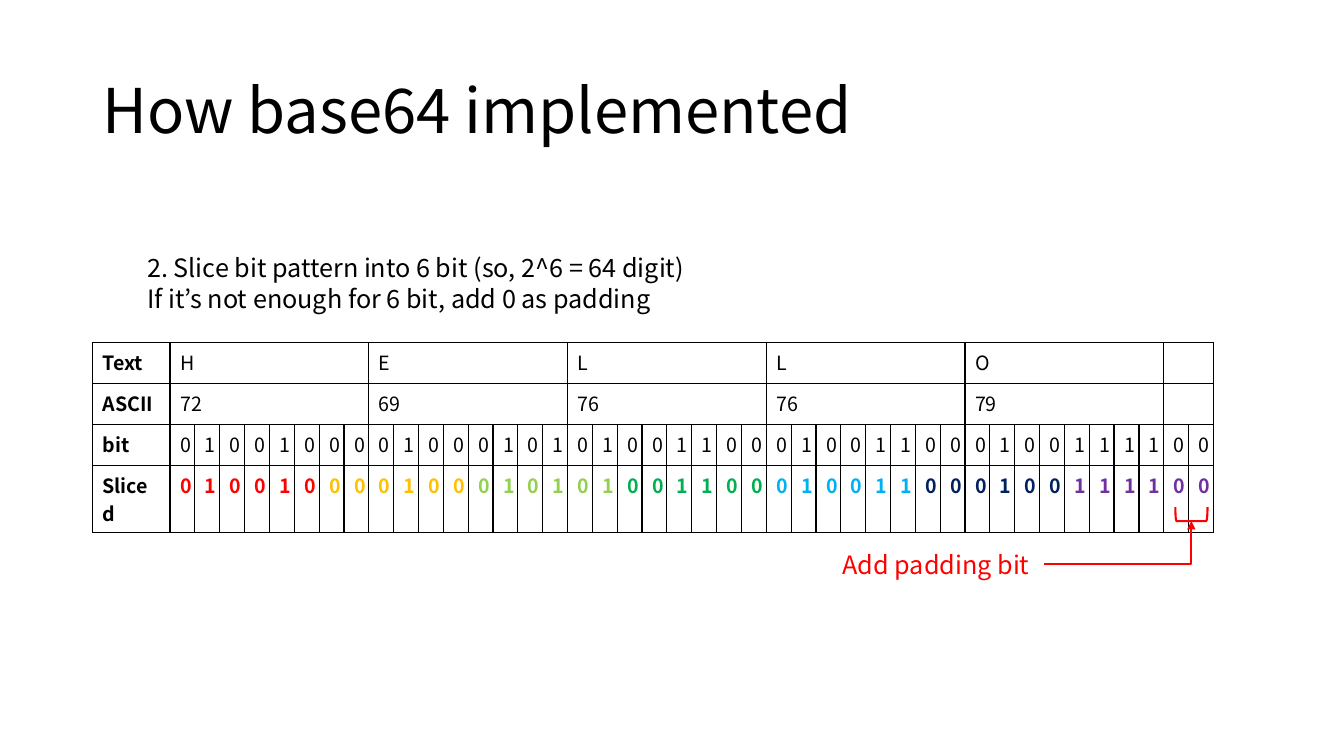
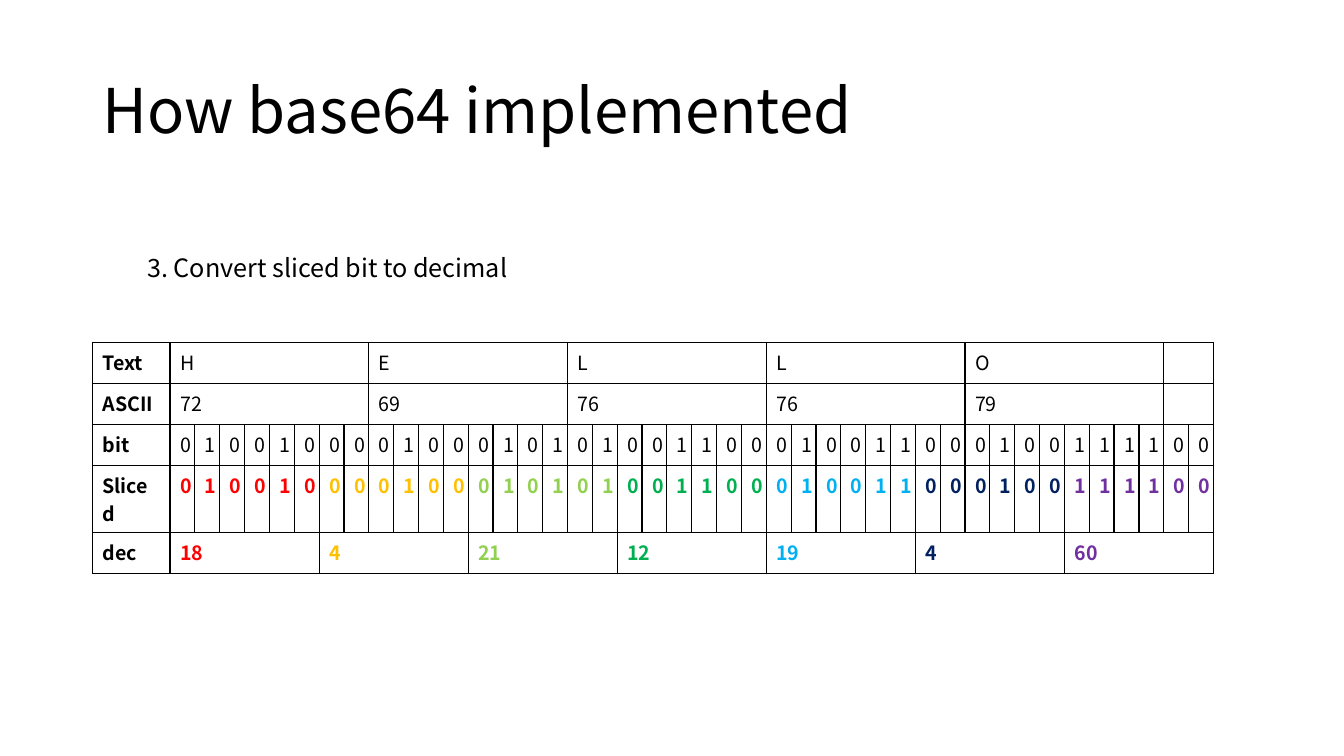
from lxml import etree
from pptx import Presentation
from pptx import util as u
from pptx.dml.color import RGBColor
from pptx.enum import shapes, text
from pptx.oxml import ns

FONT = "Noto Sans CJK KR"
BLACK, RED = "000000", "FF0000"
SLICE_COLOURS = [RED, "FFC000", "92D050", "00B050", "00B0F0", "002060", "7030A0"]
WORD = "HELLO"
BYTE, SLICE, PADDING = 8, 6, 2
BITS = "".join(f"{ord(letter):08b}" for letter in WORD) + "0" * PADDING
LABEL_WIDTH, BIT_WIDTH, ROW_HEIGHT = 55.5, 17.76, 29.2


def colour(value):
    """Turn a hex string into a colour."""
    return RGBColor.from_string(value)


def place(left, top, width, height):
    """Convert a box given in points to lengths."""
    return [u.Pt(value) for value in (left, top, width, height)]


def style(para, size, ink=BLACK, bold=False):
    """Set the font of a paragraph."""
    para.font.name, para.font.size, para.font.bold = FONT, u.Pt(size), bold
    para.font.color.rgb = colour(ink)


def add_page(deck, heading):
    """Add a slide with its title."""
    page = deck.slides.add_slide(deck.slide_layouts[5])
    title = page.shapes.title
    title.left, title.top, title.width, title.height = place(66, 28.75, 828, 104.4)
    title.text_frame.text = heading
    title.text_frame.vertical_anchor = text.MSO_ANCHOR.MIDDLE
    para = title.text_frame.paragraphs[0]
    para.alignment, para.line_spacing = text.PP_ALIGN.LEFT, 0.9
    style(para, 44)
    return page


def add_text(page, box, lines, ink=BLACK, wrap=True):
    """Add a text box with one paragraph per line."""
    frame = page.shapes.add_textbox(*place(*box)).text_frame
    frame.word_wrap = wrap
    frame.auto_size = text.MSO_AUTO_SIZE.SHAPE_TO_FIT_TEXT
    frame.text = "\n".join(lines)
    for para in frame.paragraphs:
        style(para, 18, ink)


def format_cell(cell):
    """Give a cell thin black borders, no fill and centred text."""
    properties = cell._tc.get_or_add_tcPr()
    for side in ("lnL", "lnR", "lnT", "lnB"):
        line = etree.SubElement(properties, ns.qn(f"a:{side}"), w=str(u.Pt(1)))
        fill = etree.SubElement(line, ns.qn("a:solidFill"))
        etree.SubElement(fill, ns.qn("a:srgbClr"), val=BLACK)
    cell.fill.background()
    para = cell.text_frame.paragraphs[0]
    para.alignment = text.PP_ALIGN.CENTER
    style(para, 14)


def fill_row(table, row, label, entries):
    """Write a label and then entries of (words, span, colour, bold)."""
    table.cell(row, 0).text = label
    style(table.cell(row, 0).text_frame.paragraphs[0], 14, bold=True)
    column = 1
    for words, span, ink, bold in entries:
        cell = table.cell(row, column)
        if span > 1:
            cell.merge(table.cell(row, column + span - 1))
        cell.text = words
        style(cell.text_frame.paragraphs[0], 14, ink, bold)
        column += span


def byte_entries(values):
    """Lay out one value per byte and an empty cell above the padding."""
    return [(str(value), BYTE, BLACK, False) for value in values] + [("", PADDING, BLACK, False)]


def add_bit_table(page, with_decimals):
    """Add the table that leads from letters to sliced bits."""
    slices = [BITS[start:start + SLICE] for start in range(0, len(BITS), SLICE)]
    coloured = list(zip(slices, SLICE_COLOURS))
    rows = [
        ("Text", byte_entries(WORD)),
        ("ASCII", byte_entries(map(ord, WORD))),
        ("bit", [(bit, 1, BLACK, False) for bit in BITS]),
        ("Sliced", [(bit, 1, ink, True) for bits, ink in coloured for bit in bits]),
    ]
    if with_decimals:
        rows.append(("dec", [(str(int(bits, 2)), SLICE, ink, True) for bits, ink in coloured]))
    box = place(66, 244.8, LABEL_WIDTH + BIT_WIDTH * len(BITS), ROW_HEIGHT * len(rows))
    table = page.shapes.add_table(len(rows), len(BITS) + 1, *box).table
    table.first_row = table.horz_banding = False
    for index, column in enumerate(table.columns):
        column.width = u.Pt(BIT_WIDTH if index else LABEL_WIDTH)
    for cell in table.iter_cells():
        format_cell(cell)
    for index, (label, entries) in enumerate(rows):
        fill_row(table, index, label, entries)


def add_bracket(page, box):
    """Add a red bracket that opens upwards."""
    bracket = page.shapes.add_shape(shapes.MSO_SHAPE.RIGHT_BRACKET, *place(*box))
    bracket.rotation = 90
    bracket.shadow.inherit = False
    bracket.fill.background()
    bracket.line.color.rgb, bracket.line.width = colour(RED), u.Pt(1.5)


def add_elbow_arrow(page, start, end):
    """Add a red arrow that runs sideways and then turns once."""
    ends = [u.Pt(value) for value in (*start, *end)]
    arrow = page.shapes.add_connector(shapes.MSO_CONNECTOR.ELBOW, *ends)
    arrow.line.color.rgb, arrow.line.width = colour(RED), u.Pt(1.5)
    properties = arrow._element.spPr
    properties.find(ns.qn("a:prstGeom")).set("prst", "bentConnector2")
    etree.SubElement(properties.find(ns.qn("a:ln")), ns.qn("a:tailEnd"), type="triangle")
    etree.SubElement(properties, ns.qn("a:effectLst"))


def main():
    """Build and save the deck."""
    deck = Presentation()
    deck.slide_width, deck.slide_height = u.Pt(960), u.Pt(540)
    heading = "How base64 implemented"

    slicing = add_page(deck, heading)
    add_bit_table(slicing, with_decimals=False)
    add_text(slicing, (98, 177, 699, 51), [
        "2. Slice bit pattern into 6 bit (so, 2^6 = 64 digit)",
        "If it’s not enough for 6 bit, add 0 as padding",
    ])
    add_text(slicing, (594.7, 388.8, 151, 29), ["Add padding bit"], RED, wrap=False)
    add_bracket(slicing, (846, 355.7, 10, 23))
    add_elbow_arrow(slicing, (746, 403.2), (851, 372.2))

    converting = add_page(deck, heading)
    add_bit_table(converting, with_decimals=True)
    add_text(converting, (98, 177, 699, 29), ["3. Convert sliced bit to decimal"])

    deck.save("out.pptx")


if __name__ == "__main__":
    main()
